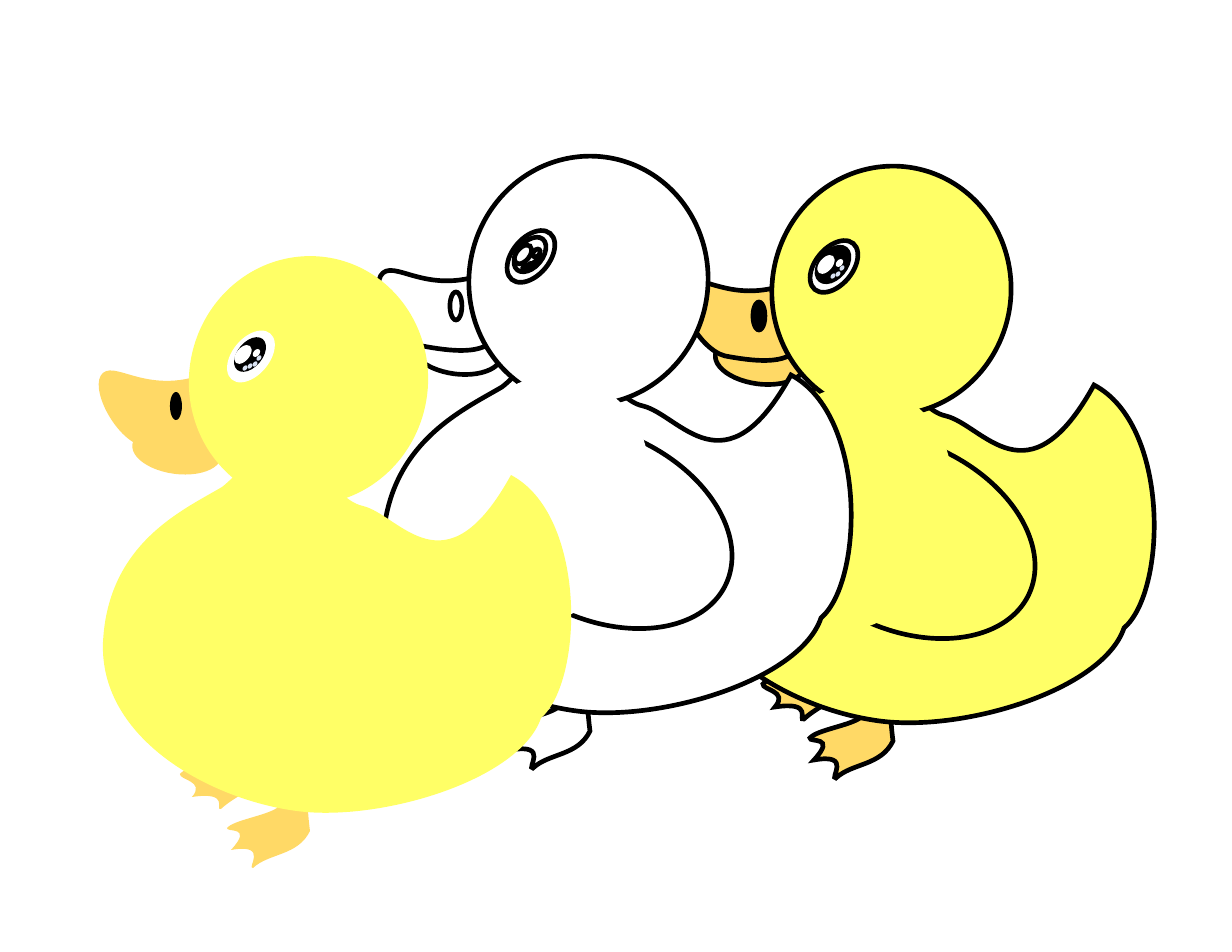
from dataclasses import dataclass

from lxml.etree import SubElement
from pptx import Presentation
from pptx.dml.color import RGBColor
from pptx.enum.shapes import MSO_SHAPE
from pptx.oxml.ns import qn
from pptx.util import Emu, Pt

PX = 914400 / 112
SLIDE_W, SLIDE_H = 1232, 952
EYE_TILT, PILL_TILT = 309.8, 300.9


@dataclass(frozen=True)
class Theme:
    yellow: str = "FFFF66"
    orange: str = "FFD966"
    white: str = "FFFFFF"
    black: str = "000000"
    pale_blue: str = "DAE3F3"
    outline_pt: int = 3


THEME = Theme()
COLOURED = {"feather": THEME.yellow, "orange": THEME.orange, "white": THEME.white,
            "black": THEME.black, "glint": THEME.pale_blue}
BLANK = dict.fromkeys(COLOURED, THEME.white)

# Each outline: start point, then segments of one point (line)
# or of two control points and an end point (curve).
BACK_FOOT = ((274, 646), [
    [(226, 648)],
    [(228, 672), (232, 718), (228, 747)],
    [(217, 756), (187, 766), (180, 774)],
    [(179, 780), (206, 781), (192, 797)],
    [(232, 791), (214, 811), (221, 809)],
    [(236, 795), (254, 792), (267, 767)],
    [(258, 698), (272, 687), (274, 646)],
])
FRONT_FOOT = ((323, 708), [
    [(273, 709)],
    [(277, 732), (280, 780), (277, 808)],
    [(265, 816), (234, 820), (227, 828)],
    [(226, 833), (254, 825), (231, 850)],
    [(270, 843), (246, 869), (253, 868)],
    [(269, 853), (298, 856), (310, 831)],
    [(301, 762), (319, 747), (323, 708)],
])
BODY = ((103, 642), [
    [(108, 543), (183, 510), (222, 487)],
    [(252, 464), (265, 421), (289, 424)],
    [(312, 427), (326, 498), (363, 506)],
    [(400, 515), (445, 595), (511, 475)],
    [(587, 515), (584, 681), (541, 718)],
    [(520, 780), (381, 822), (297, 811)],
    [(212, 800), (99, 740), (103, 642)],
])
UPPER_BILL = ((103, 373), [
    [(118, 360), (157, 404), (227, 363)],
    [(298, 323), (218, 418), (215, 437)],
    [(205, 456), (169, 451), (142, 446)],
    [(115, 439), (88, 386), (103, 373)],
])

# Ovals: left, top, width, height, rotation, colour role
LOWER_BILL = (132, 427, 90, 47, 7.7, "orange")
HEAD = (189, 256, 239, 249, 9.7, "feather")
NOSTRIL = (170, 392, 12, 28, 0, "black")
EYE = (221, 338, 60, 37, EYE_TILT, "white")
IRIS = (230, 342, 40, 25, EYE_TILT, "black")
FIRST_GLINT, *GLINTS = [(x, y, 6, 4, EYE_TILT, "glint")
                        for x, y in ((242, 366), (247, 364), (252, 362), (256, 356))]
HIGHLIGHT = (232, 348, 22, 13, EYE_TILT, "white")
SPARK = (252, 350, 9, 6, EYE_TILT, "white")
WING = (182, 532, 277, 187, 205.1, "feather")
WING_COVERS = [(x, y, 218, 187, PILL_TILT, "feather") for x, y in ((154, 521), (158, 489))]


def px(n):
    return Emu(round(n * PX))


def paint(sp, colour, outlined):
    sp.shadow.inherit = False
    sp.fill.solid()
    sp.fill.fore_color.rgb = RGBColor.from_string(colour)
    if not outlined:
        sp.line.fill.background()
        return
    sp.line.color.rgb = RGBColor.from_string(THEME.black)
    sp.line.width = Pt(THEME.outline_pt)
    SubElement(sp._element.spPr.find(qn("a:ln")), qn("a:miter"), lim="800000")


def add_outline(shapes, outline, offset, colour, outlined):
    """Build a freeform through the end points, then bend its curved segments."""
    (start_x, start_y), segments = outline
    ends = [seg[-1] for seg in segments]
    builder = shapes.build_freeform(start_x, start_y, scale=PX)
    builder.add_line_segments(ends, close=True)
    sp = builder.convert_to_shape(px(offset[0]), px(offset[1]))
    left = min(start_x, *(x for x, _ in ends))
    top = min(start_y, *(y for _, y in ends))
    lines = list(sp._element.iter(qn("a:lnTo")))
    for line, seg in zip(lines, segments):
        if len(seg) == 3:
            line.tag = qn("a:cubicBezTo")
            line.remove(line[0])
            for x, y in seg:
                SubElement(line, qn("a:pt"), x=str(x - left), y=str(y - top))
    paint(sp, colour, outlined)


def add_oval(shapes, oval, offset, palette, outlined, kind=MSO_SHAPE.OVAL):
    x, y, w, h, rotation, role = oval
    sp = shapes.add_shape(kind, px(x + offset[0]), px(y + offset[1]), px(w), px(h))
    sp.rotation = rotation
    if kind == MSO_SHAPE.ROUNDED_RECTANGLE:
        sp.adjustments[0] = 0.5
    paint(sp, palette[role], outlined)


def add_duck(slide, offset, palette, outlined, fine_outlined):
    """fine_outlined also outlines the small reflections in the eye."""
    shapes = slide.shapes.add_group_shape().shapes

    def outline(shape, role):
        add_outline(shapes, shape, offset, palette[role], outlined)

    def ovals(items, lined):
        for oval in items:
            add_oval(shapes, oval, offset, palette, lined)

    outline(BACK_FOOT, "orange")
    outline(FRONT_FOOT, "orange")
    outline(BODY, "feather")
    ovals([LOWER_BILL], outlined)
    outline(UPPER_BILL, "orange")
    ovals([HEAD, NOSTRIL, EYE, IRIS], outlined)
    ovals([HIGHLIGHT], fine_outlined)
    ovals([FIRST_GLINT], outlined)
    ovals([*GLINTS, SPARK], fine_outlined)
    ovals([WING], outlined)
    for cover in WING_COVERS:
        add_oval(shapes, cover, offset, palette, False, MSO_SHAPE.ROUNDED_RECTANGLE)


def main():
    prs = Presentation()
    prs.slide_width, prs.slide_height = px(SLIDE_W), px(SLIDE_H)
    slide = prs.slides.add_slide(prs.slide_layouts[6])
    add_duck(slide, (583, -90), COLOURED, outlined=True, fine_outlined=False)
    add_duck(slide, (280, -100), BLANK, outlined=True, fine_outlined=True)
    add_duck(slide, (0, 0), COLOURED, outlined=False, fine_outlined=False)
    prs.save("out.pptx")


if __name__ == "__main__":
    main()
